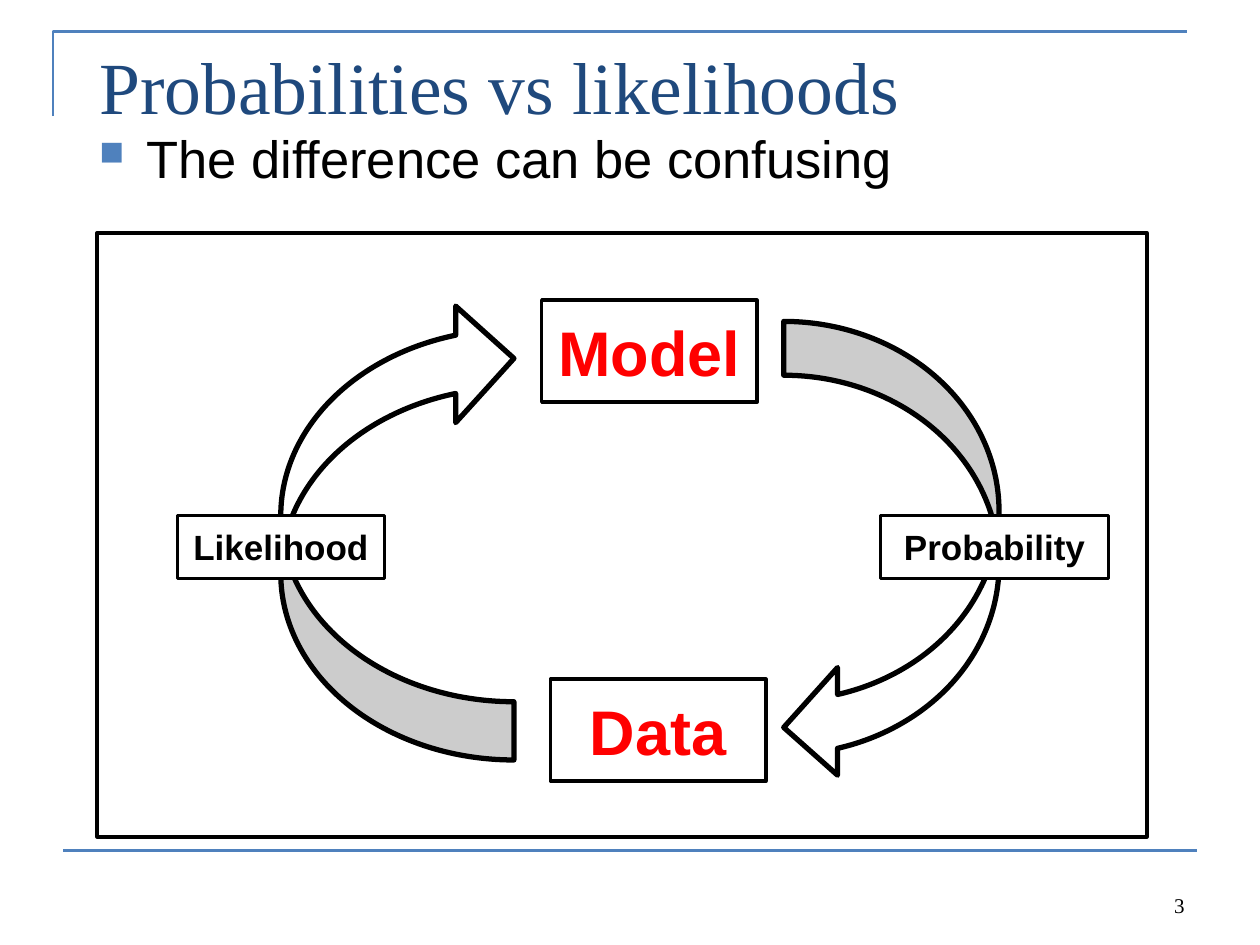
"""Build a slide on the cycle between model and data."""
import lxml.etree
import pptx
import pptx.dml.color
import pptx.enum.shapes
import pptx.enum.text
import pptx.oxml.ns
import pptx.util

Cm = pptx.util.Cm
Pt = pptx.util.Pt
RGB = pptx.dml.color.RGBColor.from_string
SHAPE = pptx.enum.shapes.MSO_SHAPE
ALIGN = pptx.enum.text.PP_ALIGN
ANCHOR = pptx.enum.text.MSO_ANCHOR
qn = pptx.oxml.ns.qn

THEME = {
    "rule": "4F81BD", "ink": "000000", "paper": "FFFFFF",
    "title": ("Times New Roman", 42, "1F497D", False),
    "body": ("Arial", 30, "000000", False),
    "node": ("Arial", 36, "FF0000", True),
    "label": ("Arial", 20, "000000", True),
    "number": ("Times New Roman", 12, "000000", False),
}

BRACKET = [(1.07, 2.34), (1.07, 0.64), (23.93, 0.64)]
FOOT_RULE = (1.27, 17.15, 24.13, 17.15)
TITLE = ("Probabilities vs likelihoods", (1.75, 0.53, 21.9, 3.68))
BULLET = ("The difference can be confusing", (1.75, 2.31, 21.9, 3.15))
NUMBER = ("3", (18.21, 17.35, 5.92, 1.27))
ARROWS = [((15.8, 6.48, 4.34, 9.27), 0), ((5.66, 6.05, 4.7, 9.27), 180)]
NODES = [("Model", (10.92, 6.05)), ("Data", (11.1, 13.69))]
NODE_SIZE = (4.34, 2.06)
LABELS = [("Likelihood", 3.58, 4.17), ("Probability", 17.75, 4.6)]
LABEL_TOP, LABEL_HEIGHT = 10.39, 1.27
FRAME = (1.96, 4.7, 21.16, 12.17)


def lengths(values):
    return [Cm(value) for value in values]


def write(box, text, style, align, anchor, wrap=True):
    name, size, color, bold = THEME[style]
    frame = box.text_frame
    frame.word_wrap = wrap
    frame.vertical_anchor = anchor
    para = frame.paragraphs[0]
    para.text = text
    para.alignment = align
    para.font.name, para.font.size, para.font.bold = name, Pt(size), bold
    para.font.color.rgb = RGB(color)
    return para


def add_text(page, content, style, align=ALIGN.LEFT, anchor=ANCHOR.TOP, top_inset=0.13):
    text, place = content
    box = page.shapes.add_textbox(*lengths(place))
    box.text_frame.margin_top = Cm(top_inset)
    return write(box, text, style, align, anchor)


def add_bullet(para):
    props = para._p.get_or_add_pPr()
    props.set("marL", str(Cm(0.95)))
    props.set("indent", str(-Cm(0.95)))
    color = lxml.etree.Element(qn("a:buClr"))
    lxml.etree.SubElement(color, qn("a:srgbClr"), val=THEME["rule"])
    size = lxml.etree.Element(qn("a:buSzPct"), val="65000")
    mark = lxml.etree.Element(qn("a:buChar"), char="■")
    for place, element in enumerate((color, size, mark)):
        props.insert(place, element)


def outline(shape, color, width, fill=None):
    shape.shadow.inherit = False
    shape.line.color.rgb = RGB(THEME[color])
    shape.line.width = Pt(width)
    if fill:
        shape.fill.solid()
        shape.fill.fore_color.rgb = RGB(THEME[fill])
    else:
        shape.fill.background()


def add_outlined(page, kind, place, width, fill=None):
    shape = page.shapes.add_shape(kind, *lengths(place))
    outline(shape, "ink", width, fill)
    return shape


def add_rules(page):
    corners = [lengths(point) for point in BRACKET]
    builder = page.shapes.build_freeform(*corners[0])
    builder.add_line_segments(corners[1:], close=False)
    outline(builder.convert_to_shape(), "rule", 1.5)
    rule = page.shapes.add_connector(
        pptx.enum.shapes.MSO_CONNECTOR.STRAIGHT, *lengths(FOOT_RULE))
    rule.line.color.rgb = RGB(THEME["rule"])
    rule.line.width = Pt(1.5)
    lxml.etree.SubElement(rule._element.spPr, qn("a:effectLst"))


def add_cycle(page):
    for place, turn in ARROWS:
        arrow = add_outlined(page, SHAPE.CURVED_LEFT_ARROW, place, 3, "paper")
        arrow.rotation = turn
    boxes = [(text, spot + NODE_SIZE, "node", None) for text, spot in NODES]
    boxes += [(text, (left, LABEL_TOP, width, LABEL_HEIGHT), "label", "paper")
              for text, left, width in LABELS]
    for text, place, style, fill in boxes:
        box = add_outlined(page, SHAPE.RECTANGLE, place, 2, fill)
        write(box, text, style, ALIGN.CENTER, ANCHOR.MIDDLE, wrap=False)
    add_outlined(page, SHAPE.RECTANGLE, FRAME, 2.25)


def main():
    deck = pptx.Presentation()
    deck.slide_width, deck.slide_height = lengths((25.4, 19.05))
    page = deck.slides.add_slide(deck.slide_layouts[6])
    add_rules(page)
    add_text(page, TITLE, "title", top_inset=0.3)
    add_bullet(add_text(page, BULLET, "body", top_inset=0.23))
    add_cycle(page)
    add_text(page, NUMBER, "number", ALIGN.RIGHT, ANCHOR.BOTTOM)
    deck.save("out.pptx")


if __name__ == "__main__":
    main()
